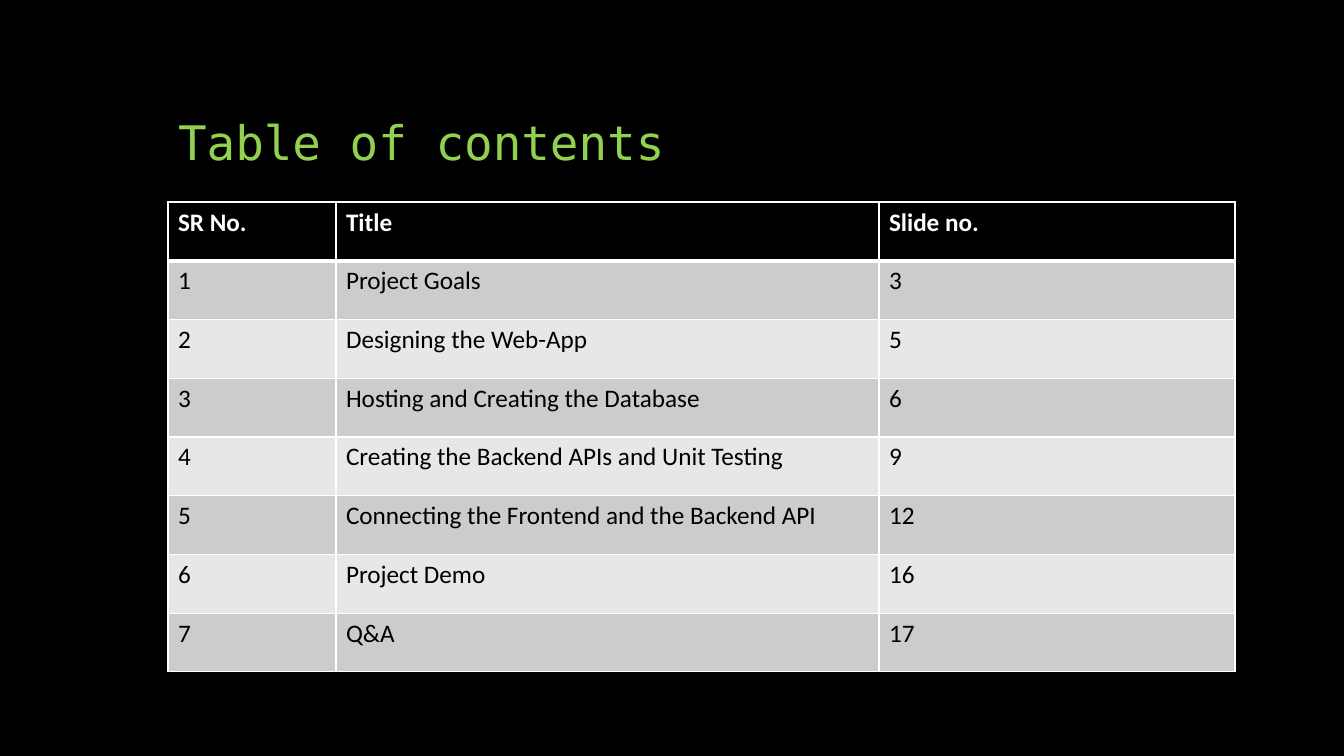
from lxml import etree
from pptx import Presentation
from pptx import util as u
from pptx.dml.color import RGBColor
from pptx.enum import text
from pptx.oxml.ns import qn

# Content
TITLE = "Table of contents"
ROWS = [
    ("SR No.", "Title", "Slide no."),
    ("1", "Project Goals", "3"),
    ("2", "Designing the Web-App", "5"),
    ("3", "Hosting and Creating the Database", "6"),
    ("4", "Creating the Backend APIs and Unit Testing", "9"),
    ("5", "Connecting the Frontend and the Backend API", "12"),
    ("6", "Project Demo", "16"),
    ("7", "Q&A", "17"),
]

# Layout in px
SLIDE = (1344, 756)
TITLE_BOX = (168, 50, 1008, 126)
TABLE_AT = (168, 202)
TABLE_HEIGHT = 470
COLUMNS = (168, 543, 356)

# Formats
BLACK, WHITE, GREEN = "000000", "FFFFFF", "92D050"
BANDS = ("E7E7E7", "CCCCCC")
TITLE_FONT = {"name": "DejaVu Sans Mono", "size": u.Pt(34), "bold": False}
HEADER_FONT = {"name": "Calibri", "size": u.Pt(18), "bold": True}
BODY_FONT = {**HEADER_FONT, "bold": False}


def px(n):
    return u.Emu(round(n * 914400 / 100.8))


def rgb(value):
    return RGBColor.from_string(value)


def write(tf, words, font, color):
    p = tf.paragraphs[0]
    p.alignment = text.PP_ALIGN.LEFT
    r = p.add_run()
    r.text = words
    for name, value in font.items():
        setattr(r.font, name, value)
    r.font.color.rgb = rgb(color)
    return p


def border(cell, widths):
    tcPr = cell._tc.get_or_add_tcPr()
    for side, points in widths.items():
        ln = etree.SubElement(tcPr, qn("a:ln" + side), w=str(u.Pt(points)))
        fill = etree.SubElement(ln, qn("a:solidFill"))
        etree.SubElement(fill, qn("a:srgbClr"), val=WHITE)


prs = Presentation()
prs.slide_width, prs.slide_height = map(px, SLIDE)
s = prs.slides.add_slide(prs.slide_layouts[5])
s.background.fill.solid()
s.background.fill.fore_color.rgb = rgb(BLACK)

# Title
sp = s.shapes.title
sp.left, sp.top, sp.width, sp.height = map(px, TITLE_BOX)
tf = sp.text_frame
tf.word_wrap = True
tf.auto_size = text.MSO_AUTO_SIZE.NONE
tf.vertical_anchor = text.MSO_ANCHOR.BOTTOM
write(tf, TITLE, TITLE_FONT, GREEN).line_spacing = 0.9

# Contents table
box = map(px, (*TABLE_AT, sum(COLUMNS), TABLE_HEIGHT))
table = s.shapes.add_table(len(ROWS), len(COLUMNS), *box).table
for column, width in zip(table.columns, COLUMNS):
    column.width = px(width)
for i, row in enumerate(ROWS):
    table.rows[i].height = px(TABLE_HEIGHT / len(ROWS))
    header = i == 0
    for j, words in enumerate(row):
        cell = table.cell(i, j)
        border(cell, {"L": 1, "R": 1, "T": 3 if i == 1 else 1, "B": 3 if header else 1})
        cell.fill.solid()
        cell.fill.fore_color.rgb = rgb(BLACK if header else BANDS[i % 2])
        write(cell.text_frame, words, HEADER_FONT if header else BODY_FONT,
              WHITE if header else BLACK)

prs.save("out.pptx")
